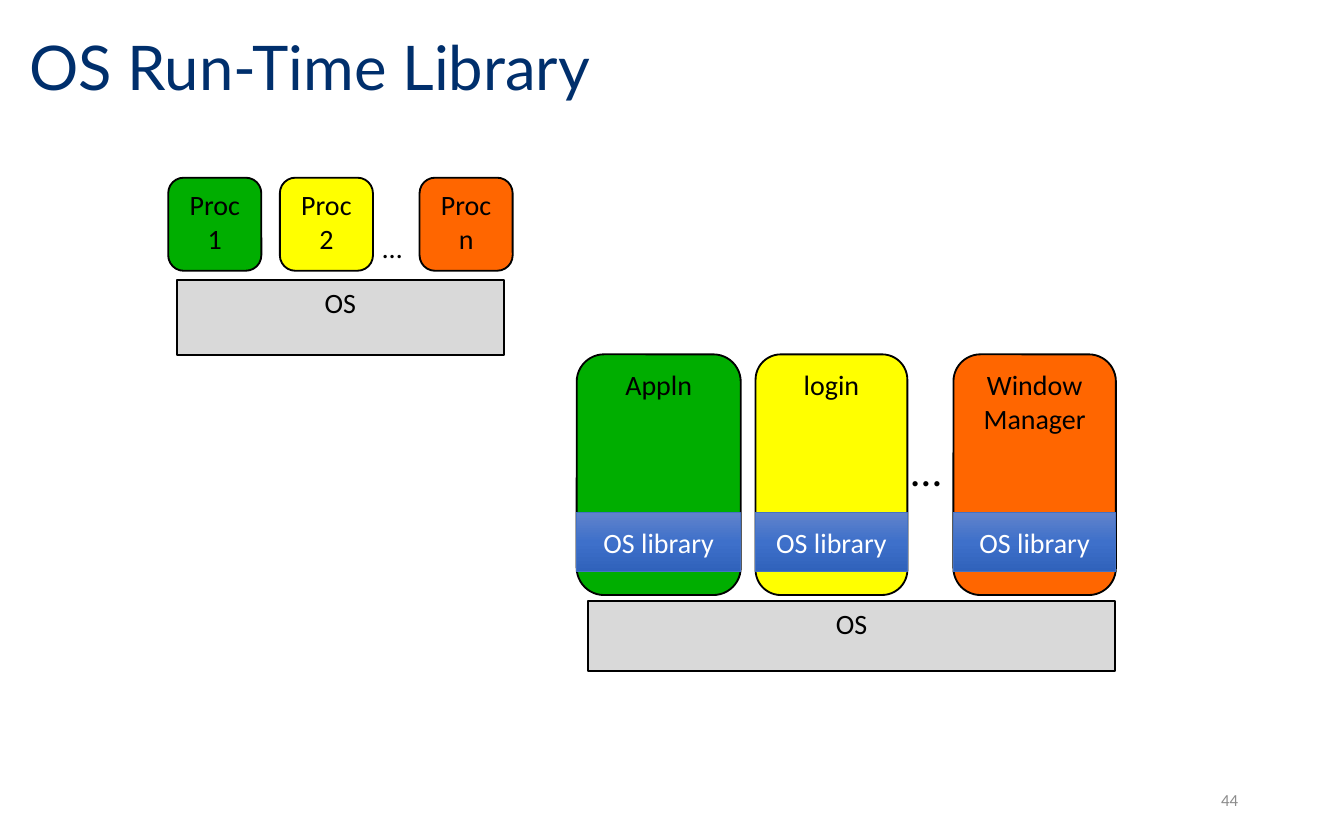
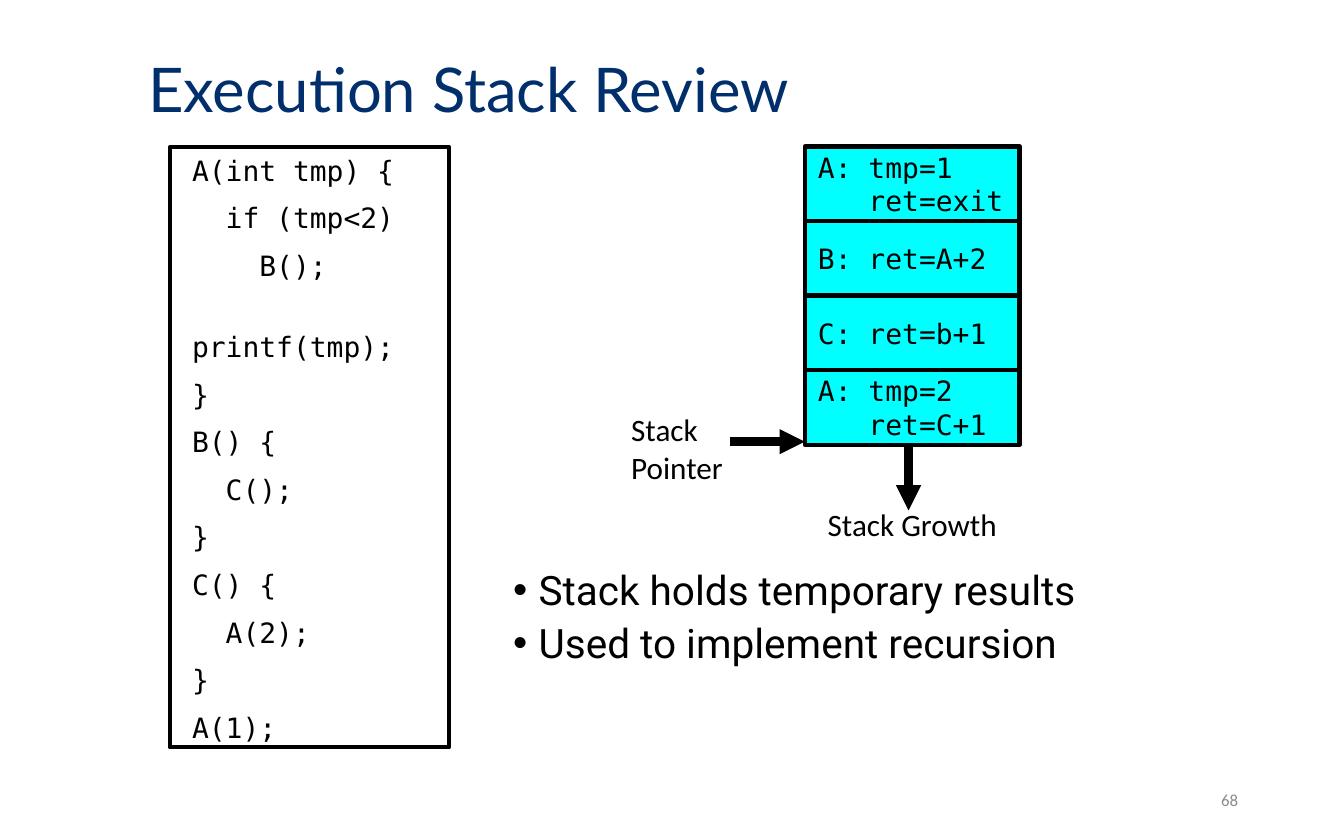
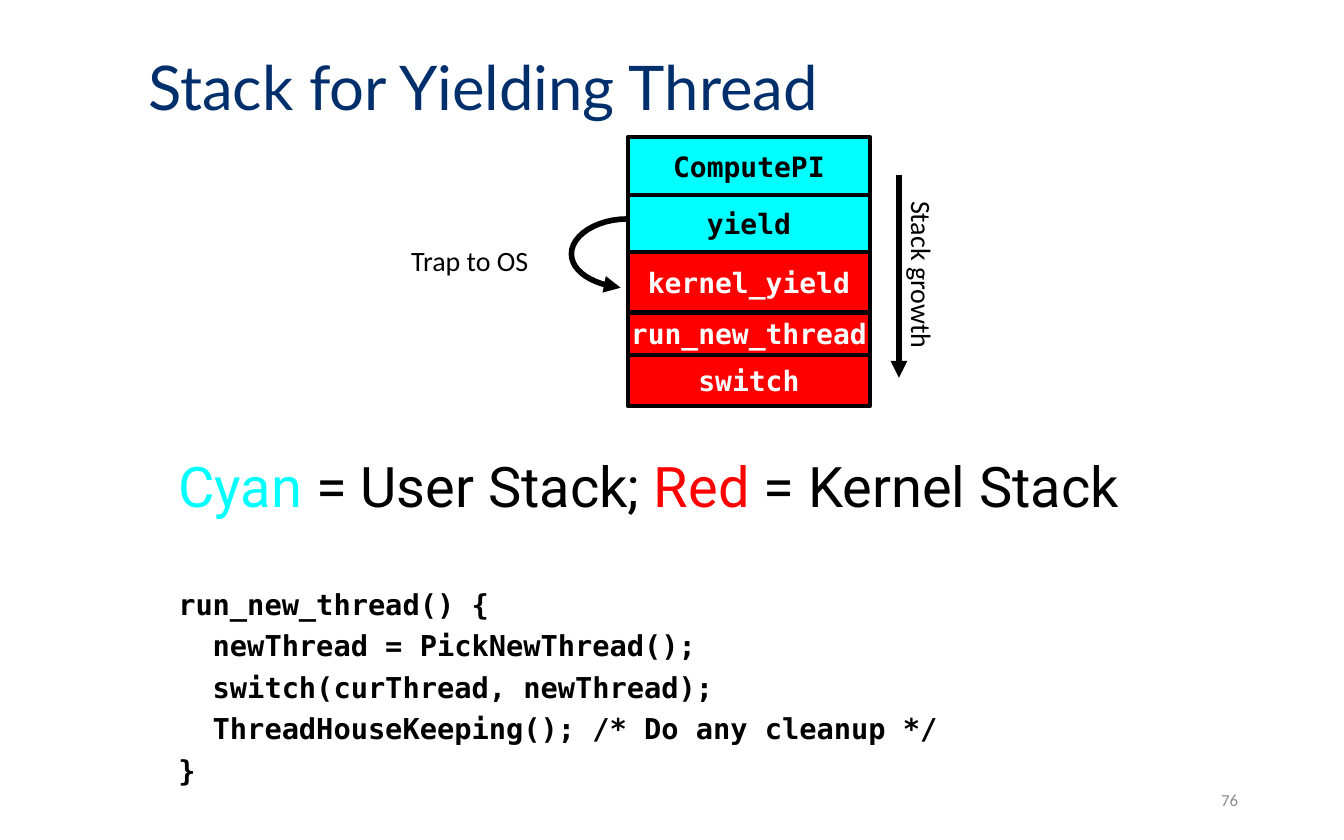
import copy
from dataclasses import dataclass, replace
from itertools import accumulate

import lxml.etree
import pptx
import pptx.dml.color
import pptx.enum.shapes
import pptx.enum.text
import pptx.oxml.ns
import pptx.util

Cm = pptx.util.Cm
Pt = pptx.util.Pt
RGBColor = pptx.dml.color.RGBColor
KIND = pptx.enum.shapes.MSO_SHAPE
ALIGN = pptx.enum.text.PP_ALIGN
ANCHOR = pptx.enum.text.MSO_ANCHOR
qn = pptx.oxml.ns.qn

NAVY = RGBColor(0x00, 0x2F, 0x6C)
BLACK = RGBColor(0x00, 0x00, 0x00)
WHITE = RGBColor(0xFF, 0xFF, 0xFF)
GRAY = RGBColor(0x8C, 0x8C, 0x8C)
SILVER = RGBColor(0xD9, 0xD9, 0xD9)
GREEN = RGBColor(0x00, 0xAE, 0x00)
YELLOW = RGBColor(0xFF, 0xFF, 0x00)
ORANGE = RGBColor(0xFF, 0x66, 0x00)
CYAN = RGBColor(0x00, 0xFF, 0xFF)
RED = RGBColor(0xFF, 0x00, 0x00)
BLUE = RGBColor(0x44, 0x72, 0xC4)
BLEND = (
    (0.0, RGBColor(0x61, 0x83, 0xCB)),
    (0.5, RGBColor(0x3E, 0x70, 0xCA)),
    (1.0, RGBColor(0x30, 0x62, 0xBB)),
)


@dataclass(frozen=True)
class Box:
    left: float
    top: float
    width: float
    height: float

    def sides(self) -> tuple:
        return Cm(self.left), Cm(self.top), Cm(self.width), Cm(self.height)


@dataclass(frozen=True)
class Style:
    face: str
    size: float
    tint: RGBColor = BLACK
    bold: bool = False
    align: ALIGN = ALIGN.LEFT
    anchor: ANCHOR = ANCHOR.TOP
    wrap: bool = True
    gap: float = 0
    pitch: float = 1.0
    bullet: bool = False


@dataclass(frozen=True)
class Look:
    fill: RGBColor | None
    edge: RGBColor = BLACK
    weight: float = 1
    kind: KIND = KIND.RECTANGLE


HEAD = Style("Lato", 33, NAVY, anchor=ANCHOR.MIDDLE, pitch=0.9)
FOOT = Style("Calibri", 9, GRAY, align=ALIGN.RIGHT, anchor=ANCHOR.MIDDLE)
LABEL = Style("Calibri", 15, align=ALIGN.CENTER)
TAG = replace(LABEL, wrap=False)
DOTS = Style("Calibri", 15, wrap=False)
BAND = replace(LABEL, tint=WHITE, anchor=ANCHOR.MIDDLE)
POINT = Style("Calibri", 16.7, wrap=False)
CODE = Style("DejaVu Sans Mono", 15, gap=7.5)
FRAME = replace(CODE, gap=0, anchor=ANCHOR.MIDDLE, wrap=False)
CALL = replace(FRAME, bold=True, align=ALIGN.CENTER)
BULLET = Style("Roboto", 21.7, gap=7.5, pitch=0.8, bullet=True)
KEY = Style("Roboto", 30, pitch=0.8)
SOURCE = Style("DejaVu Sans Mono", 15.4, bold=True, gap=7.5, pitch=0.8)
INSET = (0.2, 0.1)


def dress(font, style: Style) -> None:
    font.name = style.face
    font.size = Pt(style.size)
    font.bold = style.bold
    font.color.rgb = style.tint


def space(par, style: Style, gap: float) -> None:
    par.alignment = style.align
    par.line_spacing = style.pitch
    par.space_before = Pt(gap)


def write(frame, text: str, style: Style, inset: tuple | None = None) -> None:
    frame.word_wrap = style.wrap
    frame.vertical_anchor = style.anchor
    if inset:
        frame.margin_left = frame.margin_right = Cm(inset[0])
        frame.margin_top = frame.margin_bottom = Cm(inset[1])
    for row, line in enumerate(text.split("\n")):
        par = frame.add_paragraph() if row else frame.paragraphs[0]
        par.add_run().text = line
        space(par, style, style.gap if row else 0)
        if style.bullet:
            props = par._p.get_or_add_pPr()
            props.set("marL", str(Cm(0.48)))
            props.set("indent", str(-Cm(0.48)))
            lxml.etree.SubElement(props, qn("a:buFont")).set("typeface", "Arial")
            lxml.etree.SubElement(props, qn("a:buChar")).set("char", "•")
        dress(par.font, style)


def note(slide, box: Box, text: str, style: Style):
    shape = slide.shapes.add_textbox(*box.sides())
    write(shape.text_frame, text, style)
    return shape


def block(slide, box: Box, look: Look, text: str = "", style: Style = LABEL,
          inset: tuple | None = None) -> None:
    shape = slide.shapes.add_shape(look.kind, *box.sides())
    shape.shadow.inherit = False
    if look.fill is None:
        blend(shape)
    else:
        shape.fill.solid()
        shape.fill.fore_color.rgb = look.fill
    shape.line.color.rgb = look.edge
    shape.line.width = Pt(look.weight)
    if text:
        write(shape.text_frame, text, style, inset)


def blend(shape) -> None:
    shape.fill.gradient()
    shape.fill.gradient_angle = 270
    stops = shape._element.spPr.find(qn("a:gradFill")).find(qn("a:gsLst"))
    stops.insert(1, copy.deepcopy(stops[0]))
    for stop, (place, tint) in zip(shape.fill.gradient_stops, BLEND):
        stop.position = place
        stop.color.rgb = tint


def point(shape, weight: float) -> None:
    shape.line.color.rgb = BLACK
    shape.line.width = Pt(weight)
    edge = shape._element.spPr.find(qn("a:ln"))
    lxml.etree.SubElement(edge, qn("a:tailEnd")).set("type", "triangle")


def arrow(slide, start: tuple, end: tuple, weight: float) -> None:
    line = slide.shapes.add_connector(
        pptx.enum.shapes.MSO_CONNECTOR.STRAIGHT, *map(Cm, start + end))
    point(line, weight)
    lxml.etree.SubElement(line._element.spPr, qn("a:effectLst"))


def curve(knots: list, steps: int = 12) -> list:
    dots = [knots[0]]
    for first in range(0, len(knots) - 1, 3):
        a, b, c, d = knots[first:first + 4]
        for step in range(1, steps + 1):
            t = step / steps
            u = 1 - t
            dots.append(tuple(
                u**3 * p + 3 * u * u * t * q + 3 * u * t * t * r + t**3 * s
                for p, q, r, s in zip(a, b, c, d)))
    return dots


def bend(slide, knots: list, weight: float) -> None:
    dots = [(Cm(x), Cm(y)) for x, y in curve(knots)]
    pen = slide.shapes.build_freeform(*dots[0])
    pen.add_line_segments(dots[1:], close=False)
    shape = pen.convert_to_shape()
    shape.shadow.inherit = False
    shape.fill.background()
    point(shape, weight)


def start(deck, title: str, box: Box, page: int):
    slide = deck.slides.add_slide(deck.slide_layouts[6])
    note(slide, box, title, HEAD)
    note(slide, Box(17.93, 14.71, 5.72, 0.84), str(page), FOOT)
    return slide


def runtime(deck) -> None:
    slide = start(deck, "OS Run-Time Library", Box(0.3, 0.25, 21.64, 2.18), 44)
    tints = (GREEN, YELLOW, ORANGE)
    for box in (Box(3.35, 5.29, 6.17, 1.42), Box(11.12, 11.37, 9.95, 1.32)):
        block(slide, box, Look(SILVER), "OS", inset=INSET)
    for left, name, tint in zip((3.18, 5.29, 7.93), "12n", tints):
        block(slide, Box(left, 3.36, 1.76, 1.76),
              Look(tint, kind=KIND.ROUNDED_RECTANGLE), f"Proc {name}", inset=INSET)
    note(slide, Box(6.98, 4.24, 1.04, 0.89), "…", DOTS)
    apps = ((10.9, 3.1, "Appln"), (14.28, 2.87, "login"),
            (18.02, 3.07, "Window Manager"))
    for (left, width, name), tint in zip(apps, tints):
        block(slide, Box(left, 6.7, width, 4.55),
              Look(tint, kind=KIND.ROUNDED_RECTANGLE), name, inset=INSET)
        block(slide, Box(left, 9.69, width, 1.12), Look(None, BLUE, 0.5),
              "OS library", BAND)
    note(slide, Box(16.97, 8.26, 1.37, 1.24), "…", replace(DOTS, size=23.3, wrap=True))


def review(deck) -> None:
    slide = start(deck, "Execution Stack Review", Box(2.55, 0.22, 18.26, 3.07), 68)
    note(slide, Box(9.45, 10.74, 11.81, 3),
         "Stack holds temporary results\nUsed to implement recursion", BULLET)
    block(slide, Box(3.21, 2.78, 5.28, 11.35), Look(WHITE, weight=2.25))
    code = """A(int tmp) {
  if (tmp<2)
    B();
  printf(tmp);
}
B() {
  C();
}
C() {
  A(2);
}
A(1);"""
    note(slide, Box(3.38, 2.77, 4.93, 11.48), code, CODE)
    arrow(slide, (17.17, 8.43), (17.17, 9.65), 4.5)
    note(slide, Box(15.31, 9.42, 3.86, 0.97), "Stack Growth",
         replace(POINT, align=ALIGN.CENTER))
    calls = ("A: tmp=1\n   ret=exit", "B: ret=A+2", "C: ret=b+1",
             "A: tmp=2\n   ret=C+1")
    for row, call in enumerate(calls):
        block(slide, Box(15.21, 2.77 + 1.41 * row, 4.06, 1.41),
              Look(CYAN, weight=2.25), call, FRAME)
    note(slide, Box(11.68, 7.64, 2.29, 1.68), "Stack\nPointer", POINT)
    arrow(slide, (13.79, 8.35), (15.21, 8.35), 4.5)


def legend(frame) -> None:
    par = frame.paragraphs[0]
    space(par, KEY, 0)
    for text, tint in (("Cyan", CYAN), (" = User Stack; ", BLACK),
                       ("Red", RED), (" = Kernel Stack", BLACK)):
        run = par.add_run()
        run.text = text
        dress(run.font, replace(KEY, tint=tint))


def switch(deck) -> None:
    slide = start(deck, "Stack for Yielding Thread", Box(2.55, 0.18, 18.26, 3.07), 76)
    body = slide.shapes.add_textbox(*Box(3.12, 8.66, 20.29, 6.65).sides())
    frame = body.text_frame
    frame.word_wrap = True
    legend(frame)
    code = """run_new_thread() {
  newThread = PickNewThread();
  switch(curThread, newThread);
  ThreadHouseKeeping(); /* Do any cleanup */
}"""
    for row, line in enumerate(code.split("\n")):
        par = frame.add_paragraph()
        par.add_run().text = line
        space(par, SOURCE, SOURCE.gap if row else 40)
        dress(par.font, SOURCE)
    calls = (("ComputePI", 1.1, CYAN, BLACK), ("yield", 1.08, CYAN, BLACK),
             ("kernel_yield", 1.14, RED, WHITE),
             ("run_new_thread", 0.8, RED, WHITE), ("switch", 0.97, RED, WHITE))
    tops = accumulate((call[1] for call in calls), initial=2.59)
    for (name, height, fill, tint), top in zip(calls, tops):
        block(slide, Box(11.87, top, 4.57, height), Look(fill, weight=2.25),
              name, replace(CALL, tint=tint))
    note(slide, Box(15.75, 4.75, 3.35, 0.89), "Stack growth", TAG).rotation = 90
    arrow(slide, (16.99, 3.3), (16.99, 7.14), 3)
    bend(slide, [(11.86, 4.14), (11.28, 4.14), (10.8, 4.45), (10.8, 4.8),
                 (10.8, 5.13), (11.2, 5.38), (11.73, 5.44)], 3)
    note(slide, Box(7.42, 4.48, 2.92, 0.89), "Trap to OS", TAG)


def main() -> None:
    deck = pptx.Presentation()
    deck.slide_width = Cm(25.4)
    deck.slide_height = Cm(15.88)
    for build in (runtime, review, switch):
        build(deck)
    deck.save("out.pptx")


if __name__ == "__main__":
    main()
